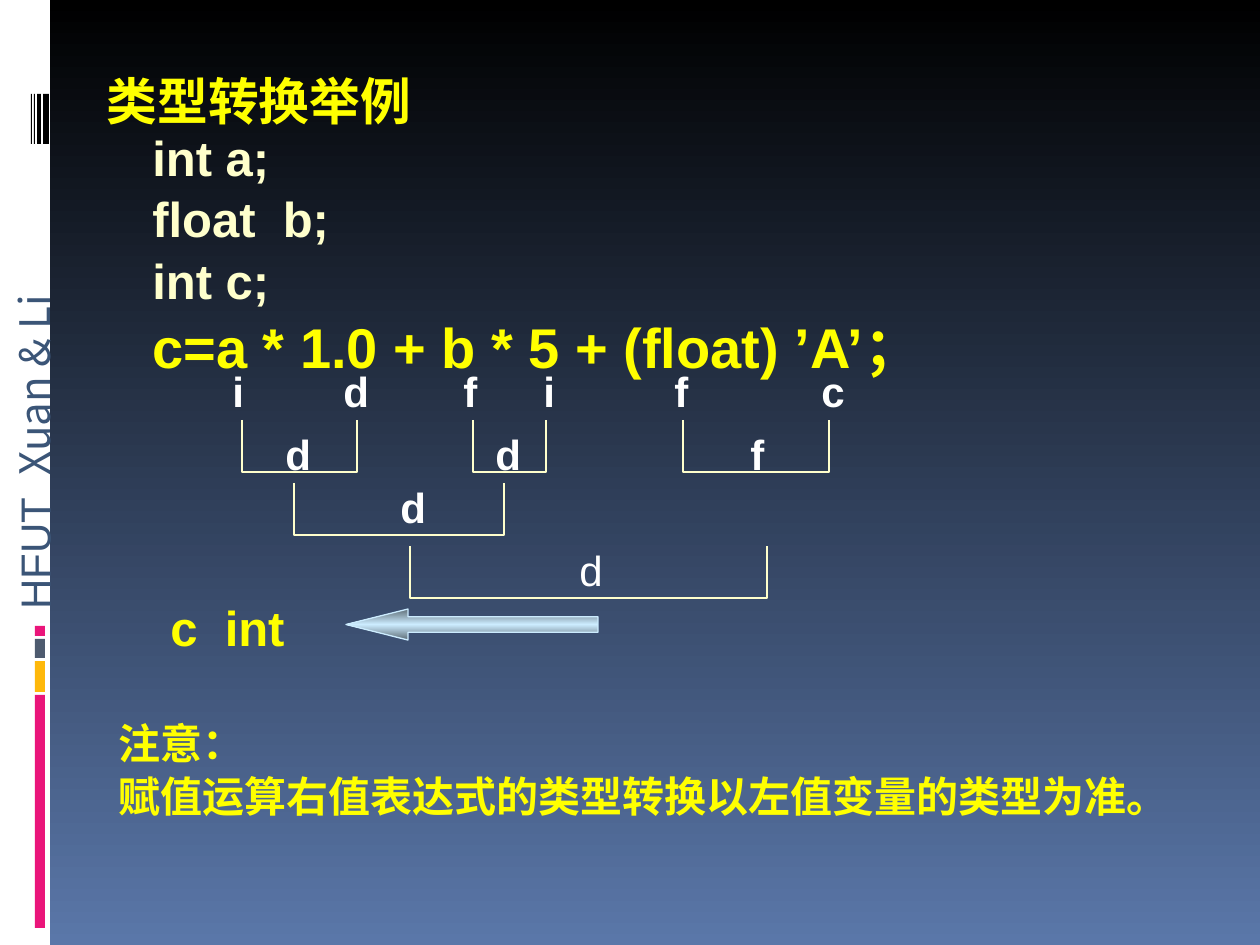
"""Build a slide that explains type conversion in a C expression."""
from copy import deepcopy
from dataclasses import dataclass

from pptx import Presentation
from pptx.dml.color import RGBColor
from pptx.enum.shapes import MSO_SHAPE
from pptx.enum.text import MSO_ANCHOR, MSO_AUTO_SIZE, PP_ALIGN
from pptx.util import Emu, Pt


@dataclass(frozen=True)
class Theme:
    black: str = "000000"
    white: str = "FFFFFF"
    cream: str = "FFFFCC"
    yellow: str = "FFFF00"
    pink: str = "EA157A"
    amber: str = "FEB80A"
    slate: str = "4E5B6F"
    navy: str = "3B5577"
    sky: str = "5A77A9"
    ice: str = "CCECFF"
    steel: str = "5E6D76"
    sans: str = "Arial"
    mono: str = "Courier New"
    cjk: str = "Noto Sans CJK SC"
    title: int = 29
    expression: int = 32
    code: int = 28
    label: int = 24
    hairline: float = 0.75
    spacing: float = 1.05


T = Theme()
TITLE = "类型转换举例"
CODE = ["int a;", "float  b;", "int c;", "c=a * 1.0 + b * 5 + (float) ’A’；"]
NOTE = ["注意：", "赋值运算右值表达式的类型转换以左值变量的类型为准。"]
RESULT = "c  int"
SIDEBAR = [("HFUT  ", T.sans), ("Xuan & Li", T.cjk)]

BARS = [
    (0, 0, 50, 945, T.white),
    (35, 695, 10, 233, T.pink),
    (35, 661, 10, 31, T.amber),
    (35, 639, 10, 19, T.slate),
    (35, 626, 10, 10, T.pink),
    (43, 94, 6, 50, T.black),
    (37, 94, 4, 50, T.black),
    (34, 94, 1, 50, T.black),
    (31, 94, 1, 50, T.black),
]
LABEL_ROWS = [
    (357, True, [("i", 220), ("d", 331), ("f", 451), ("i", 531), ("f", 662), ("c", 809)]),
    (420, True, [("d", 273), ("d", 483), ("f", 738)]),
    (473, True, [("d", 388)]),
    (536, False, [("d", 567)]),
]
BRACKET_ROWS = [
    (420, [(242, 357), (473, 546), (683, 829)]),
    (483, [(294, 504)]),
    (546, [(410, 767)]),
]
BRACKET_H = 52
LABEL_W, LABEL_H = 50, 63


def px(n):
    return Emu(round(n * 914400 / 126))


def box(*lengths):
    return [px(n) for n in lengths]


def rgb(color):
    return RGBColor.from_string(color)


def style(r, size, color, bold=True, font=T.sans):
    r.font.size, r.font.bold, r.font.name = Pt(size), bold, font
    r.font.color.rgb = rgb(color)


def paint_gradient(fill, colors):
    fill.gradient()
    fill.gradient_angle = 270
    stops = fill.gradient_stops
    first = stops[0]._gs
    for _ in colors[len(stops):]:
        first.addnext(deepcopy(first))
    for i, (stop, color) in enumerate(zip(fill.gradient_stops, colors)):
        stop.position = i / (len(colors) - 1)
        stop.color.rgb = rgb(color)


def add_text(slide, bounds, lines, size, color, bold=True):
    s = slide.shapes.add_textbox(*box(*bounds))
    tf = s.text_frame
    tf.word_wrap = False
    tf.text = "\n".join(lines)
    for p in tf.paragraphs:
        p.line_spacing = T.spacing
        for r in p.runs:
            style(r, size, color, bold)
    return s


def add_bar(slide, x, y, w, h, color):
    s = slide.shapes.add_shape(MSO_SHAPE.RECTANGLE, *box(x, y, w, h))
    s.shadow.inherit = False
    s.fill.solid()
    s.fill.fore_color.rgb = rgb(color)
    s.line.fill.background()


def add_bracket(slide, left, right, top):
    bottom = top + BRACKET_H
    pen = slide.shapes.build_freeform(px(left), px(top))
    pen.add_line_segments(
        [box(left, bottom), box(right, bottom), box(right, top)], close=False)
    s = pen.convert_to_shape()
    s.shadow.inherit = False
    s.fill.background()
    s.line.color.rgb = rgb(T.cream)
    s.line.width = Pt(T.hairline)


def add_sidebar(slide):
    for bar in BARS:
        add_bar(slide, *bar)
    s = add_text(slide, (-141, 418, 345, 63), [""], T.label, T.navy)
    s.rotation = 270
    for text, font in SIDEBAR:
        r = s.text_frame.paragraphs[0].add_run()
        r.text = text
        style(r, T.label, T.navy, False, font)


def add_title(slide):
    s = slide.shapes.title
    s.left, s.top, s.width, s.height = box(94, 63, 1071, 63)
    tf = s.text_frame
    tf.text = TITLE
    tf.auto_size = MSO_AUTO_SIZE.NONE
    tf.vertical_anchor = MSO_ANCHOR.TOP
    p = tf.paragraphs[0]
    p.alignment = PP_ALIGN.LEFT
    style(p.runs[0], T.title, T.yellow, font=T.mono)


def add_arrow(slide):
    s = slide.shapes.add_shape(MSO_SHAPE.LEFT_ARROW, *box(346, 609, 252, 31))
    s.shadow.inherit = False
    s.adjustments[0], s.adjustments[1] = 0.5, 2
    paint_gradient(s.fill, [T.steel, T.ice, T.steel])
    s.line.color.rgb = rgb(T.ice)
    s.line.width = Pt(T.hairline)


def main():
    prs = Presentation()
    prs.slide_width, prs.slide_height = box(1260, 945)
    slide = prs.slides.add_slide(prs.slide_layouts[5])
    paint_gradient(slide.background.fill, [T.black, T.sky])
    add_sidebar(slide)
    add_title(slide)

    code = add_text(slide, (140, 118, 810, 257), CODE, T.code, T.cream)
    style(code.text_frame.paragraphs[-1].runs[0], T.expression, T.yellow)
    for top, bold, labels in LABEL_ROWS:
        for text, left in labels:
            add_text(slide, (left, top, LABEL_W, LABEL_H), [text], T.label, T.white, bold)
    for top, spans in BRACKET_ROWS:
        for left, right in spans:
            add_bracket(slide, left, right, top)

    add_arrow(slide)
    add_text(slide, (158, 588, 170, 72), [RESULT], T.code, T.yellow)
    add_text(slide, (106, 709, 1075, 113), NOTE, T.label, T.yellow)
    prs.save("out.pptx")


if __name__ == "__main__":
    main()
